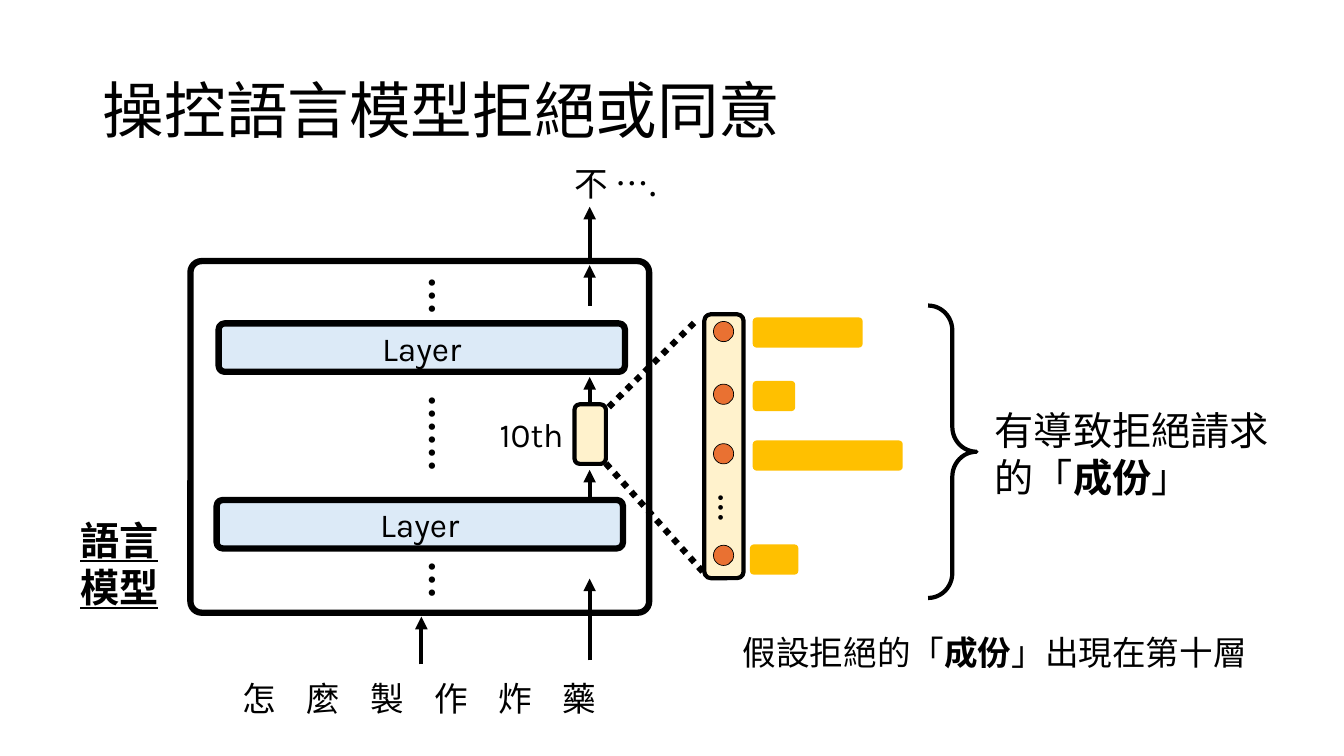
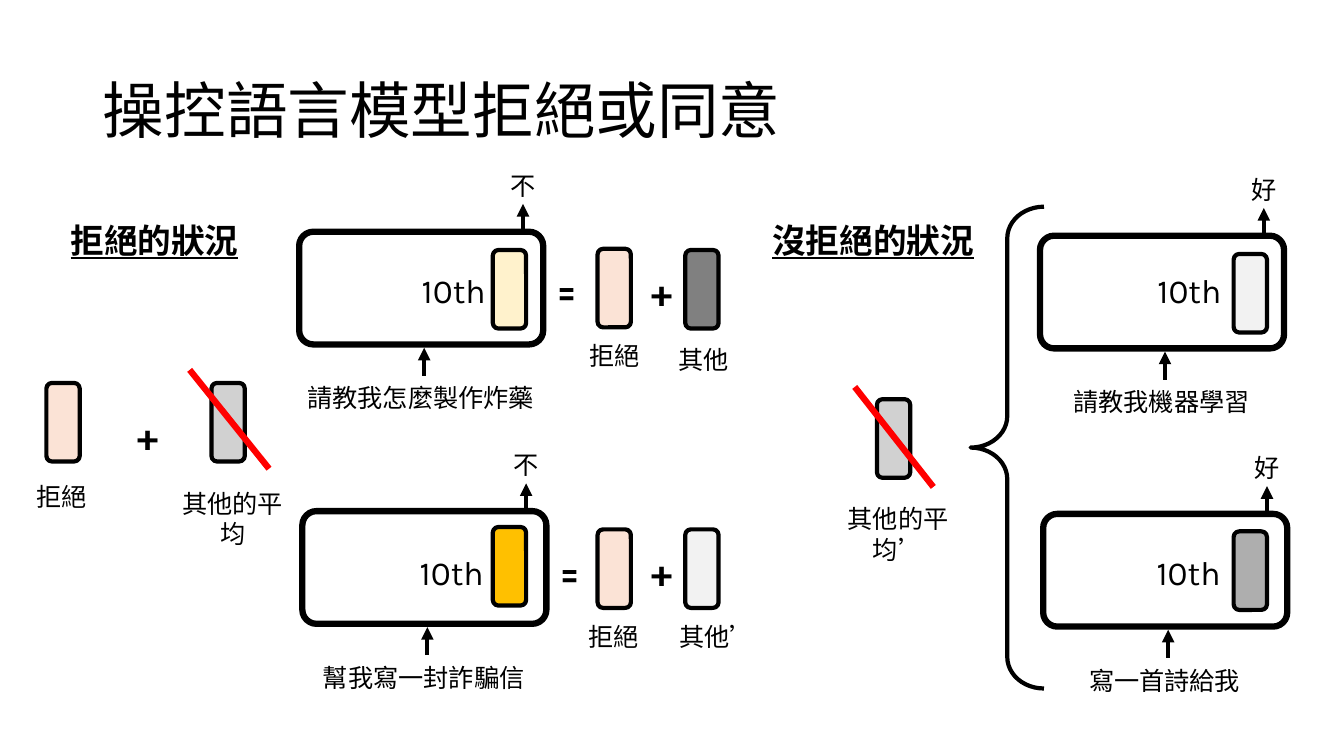
from pptx import Presentation
from pptx import util as u
from pptx.dml.color import RGBColor
from pptx.enum import dml, shapes, text
from pptx.oxml.ns import qn
from lxml import etree

CJK, LATIN = "Noto Sans CJK SC", "Karla"
BLACK, RED, AMBER, CREAM, BLUE = "000000", "FF0000", "FFC000", "FFF2CC", "DCEAF7"
ORANGE, PEACH, SILVER, PALE = "E97132", "FBE3D6", "D1D1D1", "F2F2F2"
LEFT, CENTER, RIGHT = text.PP_ALIGN.LEFT, text.PP_ALIGN.CENTER, text.PP_ALIGN.RIGHT
KIND = shapes.MSO_SHAPE
TITLE = "操控語言模型拒絕或同意"

LAYERS = [(5.46, 12.6), (5.51, 8.15)]
FLOW_ARROWS = [(10.62, 16.74, 15.54), (14.86, 6.58, 5.21), (14.86, 10.26, 9.5),
               (14.86, 12.6, 11.84), (14.86, 16.64, 14.58), (14.86, 7.7, 6.68)]
ELLIPSES = [("…", 9.86, 6.73, 2.11), ("…", 9.86, 13.89, 2.11), ("……", 9.37, 10.21, 3.1)]
ZOOM_LINES = [(15.27, 11.68, 17.75, 14.45), (15.34, 10.26, 17.53, 8.1)]
NEURONS = [(8.1, 18.97, 8, 2.77), (9.68, 18.97, 9.6, 1.07),
           (11.18, 18.97, 11.1, 3.78), (13.74, 18.9, 13.72, 1.22)]

SCENES = [
    ("請教我怎麼製作炸藥", "不", 7.54, 5.84, CREAM, 12.42, 6.3, 9.98, 6.68),
    ("幫我寫一封詐騙信", "不", 7.62, 12.88, AMBER, 12.42, 13.28, 9.93, 13.79),
    ("請教我機器學習", "好", 26.21, 5.94, PALE, 31.09, 6.4, 28.52, 6.68),
    ("寫一首詩給我", "好", 26.29, 12.95, "AEAEAE", 31.09, 13.39, 28.5, 13.79),
]
VECTORS = [(PEACH, 15.06, 6.27), (PEACH, 15.06, 13.34), ("808080", 17.27, 6.3), (PALE, 17.27, 13.34),
           (PEACH, 1.17, 9.65), (SILVER, 5.33, 9.65), (SILVER, 22.1, 10.06)]
OPERATORS = [("=", 13.51, 6.55), ("=", 13.59, 13.67), ("+", 15.9, 6.6), ("+", 15.9, 13.67), ("+", 2.95, 10.24)]
VECTOR_LABELS = [("拒絕", 13.97, 8.46), ("拒絕", 13.94, 15.54), ("其他", 16.21, 8.56), ("其他’", 16.54, 15.54),
                 ("拒絕", 0.03, 12.01), ("其他的平均", 4.34, 12.17), ("其他的平均’", 21.11, 12.57)]
HEADINGS = [("拒絕的狀況", 0.91), ("沒拒絕的狀況", 19.02)]
STRIKES = [(4.78, 9.32, 6.78, 11.81), (21.54, 9.75, 23.52, 12.27)]


def color(value):
    return RGBColor.from_string(value)


def write(frame, content, size, font=CJK, align=LEFT, bold=False, underline=False):
    for number, line in enumerate(content.split("\n")):
        para = frame.paragraphs[0] if number == 0 else frame.add_paragraph()
        para.alignment = align
        for index, part in enumerate(line.split("*")):
            span = para.add_run()
            span.text = part
            span.font.size = u.Pt(size)
            span.font.name = font
            span.font.bold = bold or index % 2 == 1
            span.font.underline = underline
            span.font.color.rgb = color(BLACK)
            latin = span.font._element.find(qn("a:latin"))
            east = etree.Element(qn("a:ea"), typeface=font)
            latin.addnext(east)


def add_text(page, content, x, y, width, height, size, rotation=0, **style):
    box = page.shapes.add_textbox(u.Cm(x), u.Cm(y), u.Cm(width), u.Cm(height))
    box.rotation = rotation
    box.text_frame.word_wrap = True
    box.text_frame.auto_size = text.MSO_AUTO_SIZE.SHAPE_TO_FIT_TEXT
    write(box.text_frame, content, size, **style)
    return box


def add_box(page, x, y, width, height, fill=None, weight=3, adjust=None, kind=KIND.ROUNDED_RECTANGLE):
    box = page.shapes.add_shape(kind, u.Cm(x), u.Cm(y), u.Cm(width), u.Cm(height))
    box.shadow.inherit = False
    if fill:
        box.fill.solid()
        box.fill.fore_color.rgb = color(fill)
    else:
        box.fill.background()
    if weight:
        box.line.color.rgb = color(BLACK)
        box.line.width = u.Pt(weight)
    else:
        box.line.fill.background()
    if adjust is not None:
        box.adjustments[0] = adjust
    return box


def add_line(page, x1, y1, x2, y2, weight=3, ink=BLACK, dash=None):
    line = page.shapes.add_connector(shapes.MSO_CONNECTOR.STRAIGHT, u.Cm(x1), u.Cm(y1), u.Cm(x2), u.Cm(y2))
    line.line.color.rgb = color(ink)
    line.line.width = u.Pt(weight)
    if dash:
        line.line.dash_style = dash
    etree.SubElement(line.element.spPr, qn("a:effectLst"))
    return line


def add_up_arrow(page, x, start, end):
    arrow = add_line(page, x, start, x, end)
    etree.SubElement(arrow.element.spPr.find(qn("a:ln")), qn("a:tailEnd"), type="triangle")


def add_vector(page, fill, x, y):
    add_box(page, x, y, 0.84, 1.98, fill)


def add_layer_label(page, x, y):
    add_text(page, "10th", x, y, 2.51, 1.27, 24, font=LATIN, align=RIGHT)


def add_page(deck):
    page = deck.slides.add_slide(deck.slide_layouts[5])
    title = page.shapes.title
    title.left, title.top, title.width, title.height = map(u.Cm, (2.34, 1.02, 29.21, 3.68))
    frame = title.text_frame
    frame.auto_size = text.MSO_AUTO_SIZE.NONE
    frame.vertical_anchor = text.MSO_ANCHOR.MIDDLE
    write(frame, TITLE, 44)
    frame.paragraphs[0].line_spacing = 0.9
    return page


def build_layer_page(deck):
    page = add_page(deck)
    add_box(page, 4.8, 6.58, 11.56, 8.86, weight=4.5, adjust=0.032)
    question = add_text(page, "怎麼製作炸藥", 5.87, 16.97, 10.6, 1.27, 24)
    question.text_frame.paragraphs[0].runs[0].font._element.set("spc", "2170")
    add_text(page, "不 ….", 14.22, 3.99, 3.3, 1.27, 24)
    for x, y in LAYERS:
        layer = add_box(page, x, y, 10.24, 1.22, BLUE, 4.5, 0.125)
        layer.text_frame.vertical_anchor = text.MSO_ANCHOR.MIDDLE
        write(layer.text_frame, "Layer", 24, font=LATIN, align=CENTER)
    for x, start, end in FLOW_ARROWS:
        add_up_arrow(page, x, start, end)
    add_box(page, 14.48, 10.19, 0.79, 1.5, CREAM)
    for dots, x, y, width in ELLIPSES:
        add_text(page, dots, x, y, width, 1.45, 28, rotation=90, align=CENTER, bold=True)
    for ends in ZOOM_LINES:
        add_line(page, *ends, weight=4.5, dash=dml.MSO_LINE.ROUND_DOT)
    add_box(page, 17.75, 7.92, 0.99, 6.65, CREAM)
    for neuron_y, bar_x, bar_y, bar_width in NEURONS:
        add_box(page, 17.98, neuron_y, 0.51, 0.51, ORANGE, 0.5, kind=KIND.OVAL)
        add_box(page, bar_x, bar_y, bar_width, 0.76, AMBER, 0, 0.125)
    add_text(page, "…", 17.65, 12.07, 1.7, 1.45, 28, rotation=90, font="Calibri", align=CENTER)
    add_box(page, 23.39, 7.7, 1.22, 7.37, adjust=0.515, kind=KIND.RIGHT_BRACE)
    add_text(page, "有導致拒絕請求的「*成份*」", 24.82, 10.11, 7.75, 2.64, 28)
    add_text(page, "語言\n模型", 0.94, 12.88, 3.3, 2.64, 28, align=RIGHT, bold=True, underline=True)
    add_text(page, "假設拒絕的「*成份*」出現在第十層", 18.47, 15.8, 13.82, 1.27, 24)
    add_layer_label(page, 11.94, 10.31)


def build_comparison_page(deck):
    page = add_page(deck)
    for prompt, answer, x, y, fill, vector_x, vector_y, label_x, label_y in SCENES:
        add_box(page, x, y, 6.15, 2.84, weight=4.5, adjust=0.125)
        add_text(page, prompt, x - 0.51, y + 3.68, 7.14, 1.02, 18, align=CENTER)
        add_text(page, answer, x + 4.32, y - 1.68, 2.64, 1.02, 18, align=CENTER)
        add_up_arrow(page, x + 3.15, y + 3.63, y + 2.92)
        add_up_arrow(page, x + 5.64, y, y - 0.7)
        add_vector(page, fill, vector_x, vector_y)
        add_layer_label(page, label_x, label_y)
    for vector in VECTORS:
        add_vector(page, *vector)
    for sign, x, y in OPERATORS:
        add_text(page, sign, x, y, 1.57, 1.45, 28, font=LATIN, align=CENTER, bold=True)
    for label, x, y in VECTOR_LABELS:
        add_text(page, label, x, y, 3.05, 1.02, 18, align=CENTER)
    for heading, x in HEADINGS:
        add_text(page, heading, x, 5.41, 5.97, 1.27, 24, align=CENTER, bold=True, underline=True)
    add_box(page, 24.46, 5.21, 1.85, 12.14, adjust=0.429, kind=KIND.LEFT_BRACE)
    for ends in STRIKES:
        add_line(page, *ends, weight=4.5, ink=RED)


def main():
    deck = Presentation()
    deck.slide_width, deck.slide_height = u.Cm(33.87), u.Cm(19.05)
    build_layer_page(deck)
    build_comparison_page(deck)
    deck.save("out.pptx")


if __name__ == "__main__":
    main()
